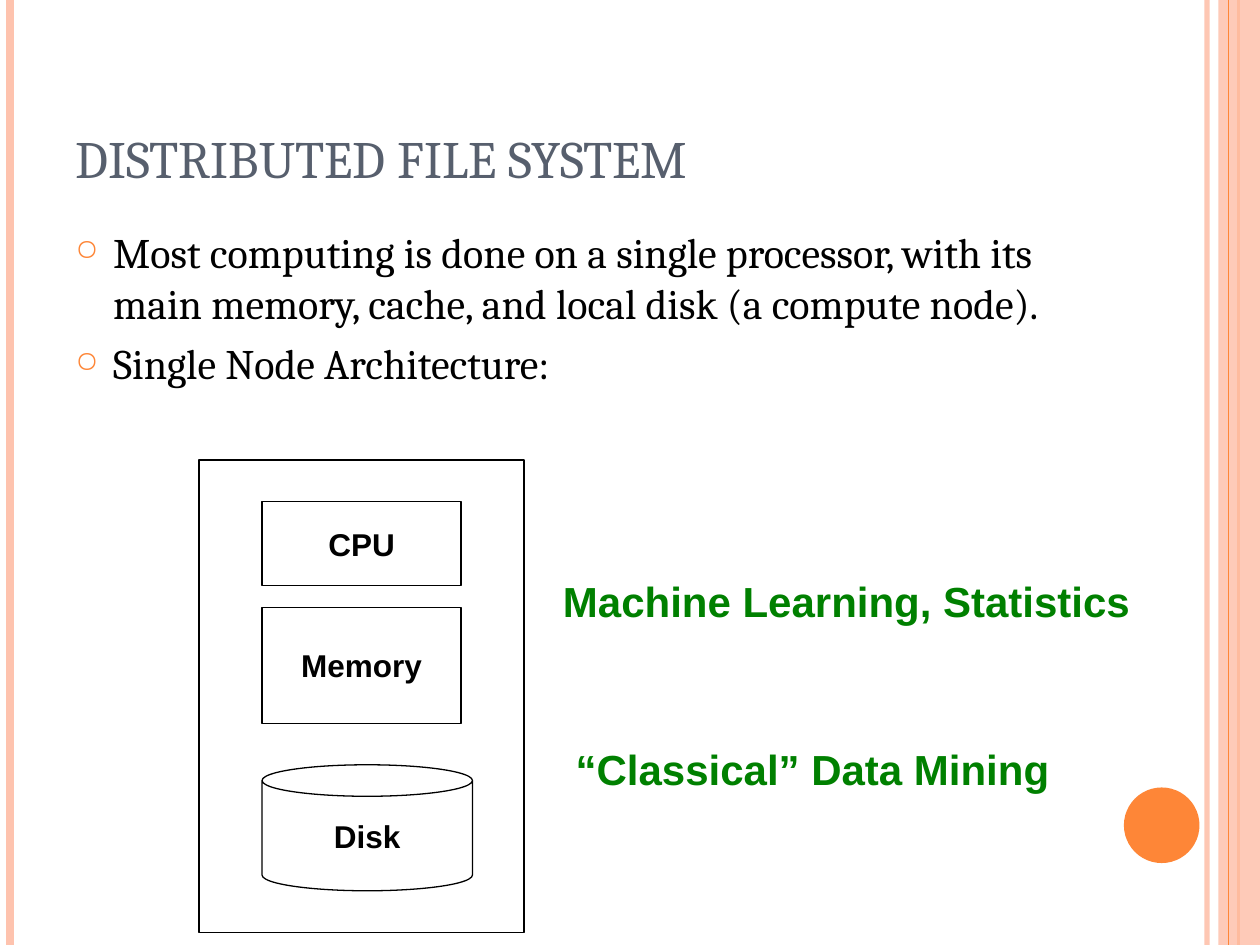
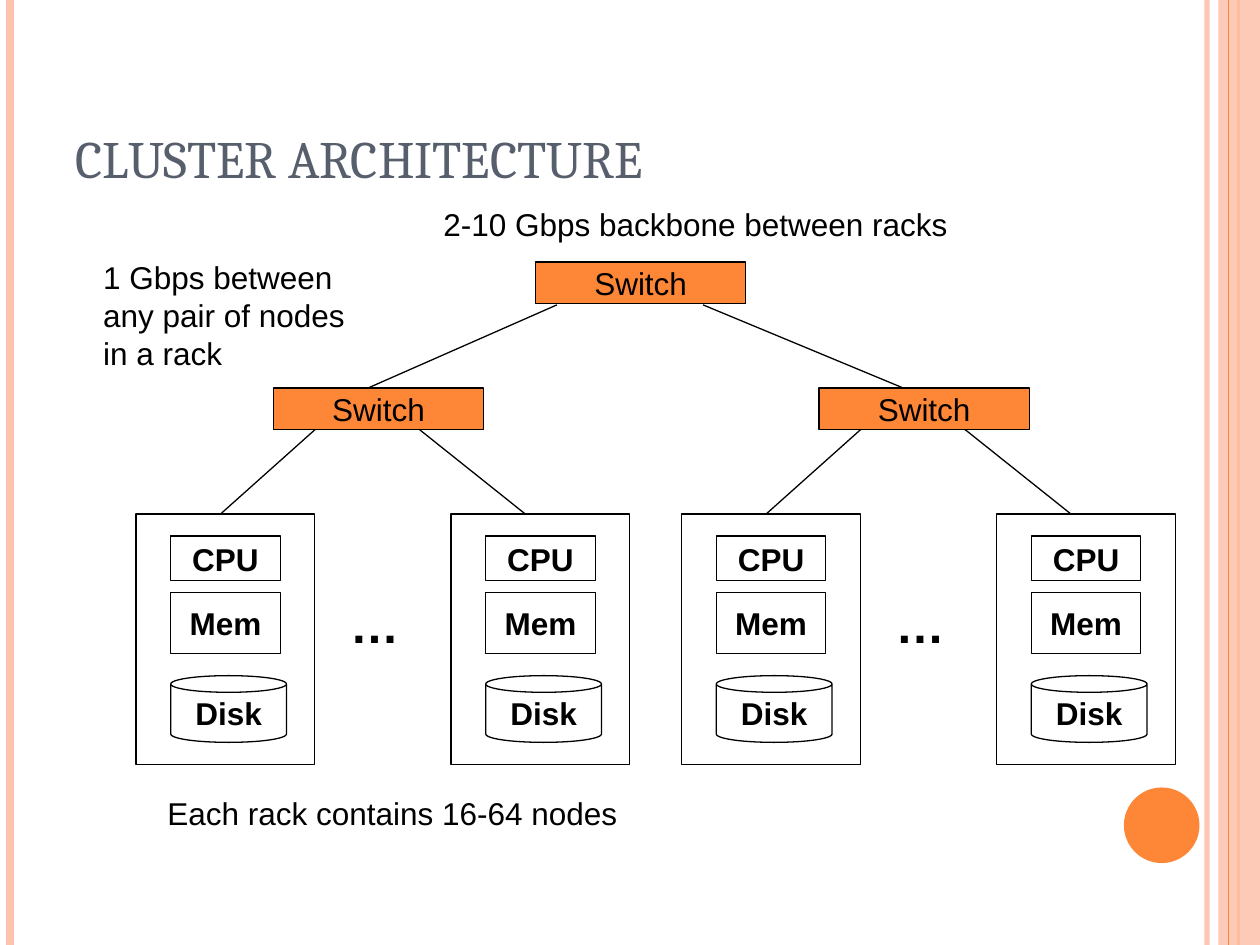
from dataclasses import dataclass

from lxml import etree
from pptx import Presentation
from pptx.dml.color import RGBColor
from pptx.enum import shapes as kinds, text as styles
from pptx.oxml.ns import qn
from pptx.util import Inches, Pt


@dataclass(frozen=True)
class Theme:
    accent: str = "FE8637"
    pale: str = "FEC3AE"
    title: str = "575F6D"
    ink: str = "000000"
    note: str = "008000"
    serif: str = "Cambria"
    sans: str = "Arial"
    title_size: int = 30
    body_size: int = 24
    label_size: int = 18
    dots_size: int = 28
    outline: float = 0.75


THEME = Theme()
RECT = kinds.MSO_SHAPE.RECTANGLE
CAN = kinds.MSO_SHAPE.CAN

# Full-size node: part name -> left, top, width, height inside its frame
NODE_SIZE = (2.58, 3.75)
NODE_PARTS = {
    "CPU": (RECT, 0.5, 0.33, 1.58, 0.67),
    "Memory": (RECT, 0.5, 1.17, 1.58, 0.92),
    "Disk": (CAN, 0.5, 2.42, 1.67, 1),
}
SWITCH_SIZE = (1.67, 0.33)


def rgb(color):
    return RGBColor.from_string(color)


def set_opacity(element, percent):
    color = next(element.iter(qn("a:srgbClr")))
    etree.SubElement(color, qn("a:alpha"), val=str(percent * 1000))


def write(frame, text, size=THEME.label_size, font=THEME.sans, color=THEME.ink,
          bold=False, align=None, anchor=None, wrap=False, bullet=None, before=0):
    """Fill a text frame, one paragraph per line of text."""
    frame.word_wrap = wrap
    if anchor is not None:
        frame.vertical_anchor = anchor
    for index, line in enumerate(text.split("\n")):
        paragraph = frame.paragraphs[0] if index == 0 else frame.add_paragraph()
        if bullet:
            add_bullet(paragraph, bullet)
        paragraph.text = line
        paragraph.alignment = align
        if index:
            paragraph.space_before = Pt(before)
        paragraph.font.size = Pt(size)
        paragraph.font.name = font
        paragraph.font.bold = bold
        paragraph.font.color.rgb = rgb(color)


def add_bullet(paragraph, sign, indent=0.3):
    properties = paragraph._p.get_or_add_pPr()
    properties.set("marL", str(Inches(indent)))
    properties.set("indent", str(-Inches(indent)))
    color = etree.SubElement(properties, qn("a:buClr"))
    etree.SubElement(color, qn("a:srgbClr"), val=THEME.accent)
    etree.SubElement(properties, qn("a:buSzPct"), val="70000")
    etree.SubElement(properties, qn("a:buChar"), char=sign)


def add_label(slide, text, left, top, width, height, **style):
    box = slide.shapes.add_textbox(*map(Inches, (left, top, width, height)))
    write(box.text_frame, text, **style)
    return box


def add_block(shapes, kind, left, top, width, height, text="", fill=None,
              line=THEME.ink, bold=False):
    block = shapes.add_shape(kind, *map(Inches, (left, top, width, height)))
    block.shadow.inherit = False
    if fill:
        block.fill.solid()
        block.fill.fore_color.rgb = rgb(fill)
    else:
        block.fill.background()
    if line:
        block.line.color.rgb = rgb(line)
        block.line.width = Pt(THEME.outline)
    else:
        block.line.fill.background()
    if text:
        write(block.text_frame, text, bold=bold, align=styles.PP_ALIGN.CENTER,
              anchor=styles.MSO_ANCHOR.MIDDLE)
    return block


def add_line(slide, start, end, color=THEME.ink, width=THEME.outline):
    line = slide.shapes.add_connector(
        kinds.MSO_CONNECTOR.STRAIGHT, *map(Inches, (*start, *end)))
    line.line.color.rgb = rgb(color)
    line.line.width = Pt(width)
    etree.SubElement(line._element.spPr, qn("a:effectLst"))
    return line


def add_node(shapes, left, top, scale_x=1, scale_y=1, memory="Memory"):
    """Draw a compute node: frame, CPU, memory and disk."""
    width, height = NODE_SIZE
    add_block(shapes, RECT, left, top, width * scale_x, height * scale_y)
    for name, (kind, x, y, w, h) in NODE_PARTS.items():
        add_block(shapes, kind, left + x * scale_x, top + y * scale_y,
                  w * scale_x, h * scale_y, bold=True,
                  text=memory if name == "Memory" else name)


def add_switch(slide, left, top):
    add_block(slide.shapes, RECT, left, top, *SWITCH_SIZE, text="Switch",
              fill=THEME.accent)


def add_side_bands(slide):
    def stripe(x, color, width):
        return add_line(slide, (x, 0), (x, 7.5), color, width)

    inner = stripe(9.58, THEME.pale, 3)
    set_opacity(inner._element, 93)
    stripe(0.08, THEME.pale, 4.5)
    stripe(9.83, THEME.accent, 1.5)
    band = add_block(slide.shapes, RECT, 9.67, 0, 0.33, 7.5,
                     fill=THEME.pale, line=None)
    set_opacity(band._element, 87)
    stripe(9.75, THEME.accent, 0.75)
    add_block(slide.shapes, kinds.MSO_SHAPE.OVAL, 8.92, 6.25, 0.6, 0.6,
              fill=THEME.accent, line=None)


def add_titled_slide(deck, title):
    slide = deck.slides.add_slide(deck.slide_layouts[5])
    add_side_bands(slide)
    heading = slide.shapes.title
    heading.left, heading.top = Inches(0.5), Inches(0.3)
    heading.width, heading.height = Inches(8.17), Inches(1.25)
    write(heading.text_frame, title, size=THEME.title_size, font=THEME.serif,
          color=THEME.title, align=styles.PP_ALIGN.LEFT,
          anchor=styles.MSO_ANCHOR.BOTTOM, wrap=True)
    return slide


def add_rack(slide, left):
    """Draw a rack switch at left with its two nodes below."""
    switch_top, node_top = 3.08, 4.08
    switch_bottom = switch_top + SWITCH_SIZE[1]
    add_switch(slide, left, switch_top)
    for link_start, link_end, node_shift in ((0.33, -0.42, -1.09), (1.16, 2, 1.41)):
        add_line(slide, (left + link_start, switch_bottom), (left + link_end, node_top))
        node = slide.shapes.add_group_shape()
        add_node(node.shapes, left + node_shift, node_top, 0.55, 0.53, memory="Mem")
    add_label(slide, "…", left + 0.51, 4.67, 0.59, 0.57,
              size=THEME.dots_size, bold=True)


def build_single_node(deck):
    slide = add_titled_slide(deck, "DISTRIBUTED FILE SYSTEM")
    add_label(slide, "Most computing is done on a single processor, with its main "
              "memory, cache, and local disk (a compute node).\n"
              "Single Node Architecture:", 0.5, 1.75, 8.17, 5.33,
              size=THEME.body_size, font=THEME.serif, wrap=True, bullet="○", before=6)
    add_node(slide.shapes, 1.58, 3.65)
    note = dict(size=THEME.body_size, color=THEME.note, bold=True)
    add_label(slide, "Machine Learning, Statistics", 4.37, 4.52, 4.7, 0.5, **note)
    add_label(slide, "“Classical” Data Mining", 4.47, 5.85, 3.96, 0.5, **note)


def build_cluster(deck):
    slide = add_titled_slide(deck, "CLUSTER ARCHITECTURE")
    # Racks, then the backbone that joins them
    for rack_left in (2.17, 6.5):
        add_rack(slide, rack_left)
    add_switch(slide, 4.25, 2.08)
    add_line(slide, (4.42, 2.42), (2.92, 3.08))
    add_line(slide, (5.58, 2.42), (7.17, 3.08))
    # Captions
    add_label(slide, "2-10 Gbps backbone between racks", 3.42, 1.58, 4.2, 0.4)
    add_label(slide, "1 Gbps between\nany pair of nodes\nin a rack", 0.72, 2, 2.12, 1)
    add_label(slide, "Each rack contains 16-64 nodes", 1.23, 6.25, 3.77, 0.4)


def main():
    deck = Presentation()
    deck.slide_width, deck.slide_height = Inches(10), Inches(7.5)
    build_single_node(deck)
    build_cluster(deck)
    deck.save("out.pptx")


if __name__ == "__main__":
    main()
